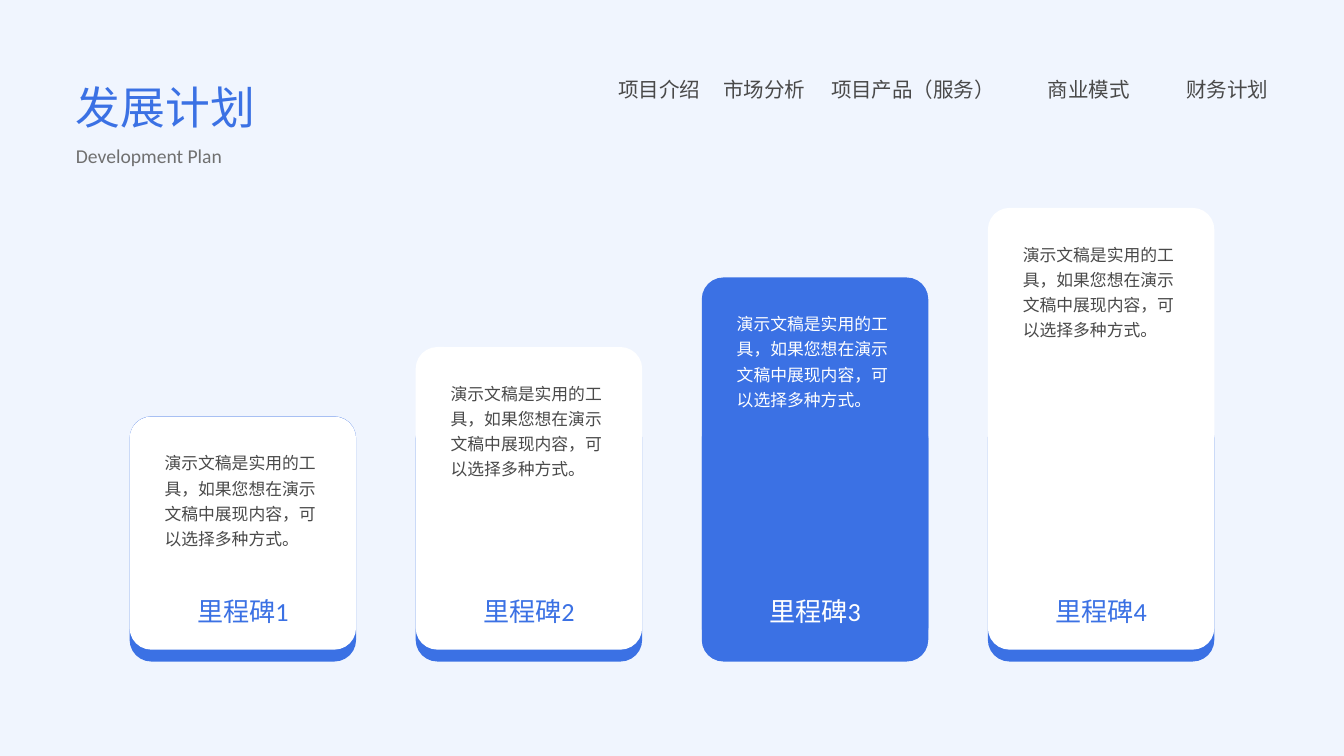
from pptx import Presentation
from pptx.dml.color import RGBColor
from pptx.enum.shapes import MSO_SHAPE
from pptx.enum.text import MSO_AUTO_SIZE, PP_ALIGN
from pptx.util import Cm, Pt

ROUNDED = MSO_SHAPE.ROUNDED_RECTANGLE
GROW = MSO_AUTO_SIZE.SHAPE_TO_FIT_TEXT
LEFT, CENTER = PP_ALIGN.LEFT, PP_ALIGN.CENTER

BACKGROUND, BLUE, WHITE, DARK, GRAY = "F0F5FE", "3B71E4", "FFFFFF", "494949", "707070"
FONT = "Calibri"
RADIUS = 0.82
NAV = [
    ("项目介绍", 0, 3.1),
    ("市场分析", 3.96, 3.1),
    ("项目产品（服务）", 7.9, 6.48),
    ("商业模式", 15.29, 4.98),
    ("财务计划", 21.46, 3.1),
]
BODY = "演示文稿是实用的工具，如果您想在演示文稿中展现内容，可以选择多种方式。"
MILESTONES = ["里程碑1", "里程碑2", "里程碑3", "里程碑4"]
HIGHLIGHT = 2


def rgb(value):
    """Return the colour for a hex string."""
    return RGBColor.from_string(value)


def add_text(s, text, left, top, width, height, size, color, spacing, align=LEFT):
    """Add a one-paragraph text box without insets."""
    tf = s.shapes.add_textbox(Cm(left), Cm(top), Cm(width), Cm(height)).text_frame
    frame = {"margin_left": 0, "margin_top": 0, "margin_right": 0,
             "margin_bottom": 0, "word_wrap": True, "auto_size": GROW}
    for name, value in frame.items():
        setattr(tf, name, value)
    p = tf.paragraphs[0]
    for name, value in {"alignment": align, "line_spacing": Pt(spacing)}.items():
        setattr(p, name, value)
    r = p.add_run()
    r.text = text
    for name, value in {"name": FONT, "size": Pt(size)}.items():
        setattr(r.font, name, value)
    r.font.color.rgb = rgb(color)


def add_panel(s, left, top, width, height, color):
    """Add a filled rectangle with a fixed corner radius."""
    sp = s.shapes.add_shape(ROUNDED, Cm(left), Cm(top), Cm(width), Cm(height))
    sp.adjustments[0] = RADIUS / min(width, height)
    sp.shadow.inherit = False
    sp.fill.solid()
    sp.fill.fore_color.rgb = rgb(color)
    sp.line.fill.background()


def add_nav(s, left, top):
    """Add the row of section names."""
    for text, offset, width in NAV:
        add_text(s, text, left + offset, top, width, 1.02, 22, DARK, 30.8, CENTER)


def add_heading(s, left, top, width):
    """Add the title and its subtitle."""
    add_text(s, "发展计划", left, top, width, 2.21, 48, BLUE, 67.2)
    add_text(s, "Development Plan", left, top + 2.64, width, 0.99, 21, GRAY, 29.4)


def add_milestone(s, label, left, top, width, bottom, highlighted):
    """Add one milestone card standing on its blue base."""
    fill, body, title = (BLUE, WHITE, WHITE) if highlighted else (WHITE, DARK, BLUE)
    add_panel(s, left, bottom - 9.27, width, 9.27, BLUE)
    add_panel(s, left, top, width, bottom - 0.45 - top, fill)
    add_text(s, BODY, left + 1.32, top + 1.19, width - 2.64, 3.73, 18, body, 27)
    add_text(s, label, left + 0.7, bottom - 2.69, width - 1.4, 1.27, 28, title, 39.2, CENTER)


def add_staircase(s, left, top, width, bottom):
    """Add the milestone cards, each one step higher than the last."""
    card, rise = 8.56, 2.63
    step = (width - card) / (len(MILESTONES) - 1)
    for i, label in enumerate(MILESTONES):
        card_top = top + rise * (len(MILESTONES) - 1 - i)
        add_milestone(s, label, left + step * i, card_top, card, bottom, i == HIGHLIGHT)


def main():
    """Build and save the slide."""
    prs = Presentation()
    prs.slide_width, prs.slide_height = Cm(50.8), Cm(28.58)
    s = prs.slides.add_slide(prs.slide_layouts[6])
    s.background.fill.solid()
    s.background.fill.fore_color.rgb = rgb(BACKGROUND)
    add_nav(s, 23.37, 2.74)
    add_heading(s, 2.87, 2.67, 14.48)
    add_staircase(s, 4.9, 7.86, 41, 25.01)
    prs.save("out.pptx")


if __name__ == "__main__":
    main()
